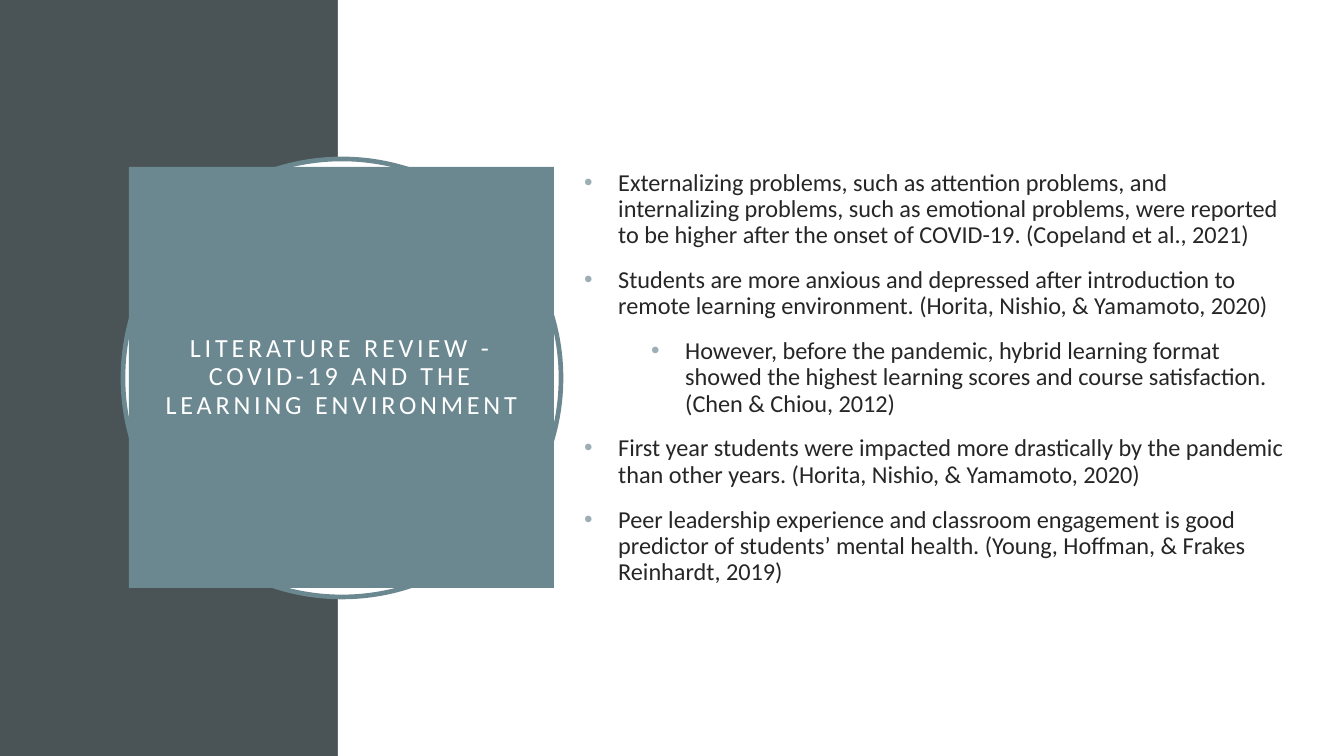
"""Build the literature review slide on COVID-19 and the learning environment."""
from lxml import etree
from pptx import Presentation
from pptx.dml.color import RGBColor
from pptx.enum.shapes import MSO_SHAPE
from pptx.enum.text import MSO_ANCHOR, PP_ALIGN
from pptx.oxml.ns import qn
from pptx.util import Pt

RECTANGLE, OVAL = MSO_SHAPE.RECTANGLE, MSO_SHAPE.OVAL
MIDDLE = MSO_ANCHOR.MIDDLE
CENTER, LEFT = PP_ALIGN.CENTER, PP_ALIGN.LEFT
PX = 914400 / 134.4
FONT = "Calibri"
COLORS = {
    "slate": "4A5356",
    "teal": "6B8891",
    "bullet": "9BAFB5",
    "ink": "262626",
    "white": "FFFFFF",
}
TITLE = "LITERATURE REVIEW - COVID-19 AND THE LEARNING ENVIRONMENT"
FINDINGS = [
    (0, "Externalizing problems, such as attention problems, and internalizing problems, "
        "such as emotional problems, were reported to be higher after the onset of "
        "COVID-19. (Copeland et al., 2021)"),
    (0, "Students are more anxious and depressed after introduction to remote learning "
        "environment. (Horita, Nishio, & Yamamoto, 2020)"),
    (1, "However, before the pandemic, hybrid learning format showed the highest learning "
        "scores and course satisfaction. (Chen & Chiou, 2012)"),
    (0, "First year students were impacted more drastically by the pandemic than other "
        "years. (Horita, Nishio, & Yamamoto, 2020)"),
    (0, "Peer leadership experience and classroom engagement is good predictor of "
        "students’ mental health. (Young, Hoffman, & Frakes Reinhardt, 2019)"),
]


def add_block(kind, box, fill, outline=None):
    block = slide.shapes.add_shape(kind, *[round(n * PX) for n in box])
    block.shadow.inherit = False
    block.fill.solid()
    block.fill.fore_color.rgb = RGBColor.from_string(COLORS[fill])
    if outline:
        block.line.color.rgb = RGBColor.from_string(COLORS[outline])
        block.line.width = Pt(2.5)
    else:
        block.line.fill.background()
    return block


def add_text(paragraph, text, size, color, align):
    paragraph.alignment = align
    paragraph.line_spacing = 0.9
    run = paragraph.add_run()
    run.text = text
    run.font.name = FONT
    run.font.size = Pt(size)
    run.font.color.rgb = RGBColor.from_string(COLORS[color])
    return run


prs = Presentation()
prs.slide_width = round(1344 * PX)
prs.slide_height = round(756 * PX)
slide = prs.slides.add_slide(prs.slide_layouts[6])

add_block(RECTANGLE, (0, 0, 338, 756), "slate")
add_block(RECTANGLE, (338, 0, 1006, 756), "white")
add_block(OVAL, (123, 159, 438, 438), "white", "teal")

title_panel = add_block(RECTANGLE, (129, 167, 425, 421), "teal")
title_frame = title_panel.text_frame
title_frame.word_wrap = True
title_frame.vertical_anchor = MIDDLE
title_frame.margin_left = title_frame.margin_right = round(27 * PX)
title_frame.margin_top = title_frame.margin_bottom = round(27 * PX)
title_run = add_text(title_frame.paragraphs[0], TITLE, 14, "white", CENTER)
title_run.font._element.set("spc", "200")

findings_box = slide.shapes.add_textbox(*[round(n * PX) for n in (538, 0, 760, 756)])
findings_frame = findings_box.text_frame
findings_frame.word_wrap = True
findings_frame.vertical_anchor = MIDDLE
for index, (level, finding) in enumerate(FINDINGS):
    paragraph = findings_frame.add_paragraph() if index else findings_frame.paragraphs[0]
    add_text(paragraph, finding, 13, "ink", LEFT)
    paragraph.level = level
    paragraph.space_before = Pt(10)
    properties = paragraph._p.get_or_add_pPr()
    properties.set("marL", str(round(67 * (level + 1) * PX)))
    properties.set("indent", str(round(-34 * PX)))
    bullet_color = etree.SubElement(properties, qn("a:buClr"))
    etree.SubElement(bullet_color, qn("a:srgbClr"), val=COLORS["bullet"])
    etree.SubElement(properties, qn("a:buFont"), typeface="Arial")
    etree.SubElement(properties, qn("a:buChar"), char="•")

prs.save("out.pptx")
